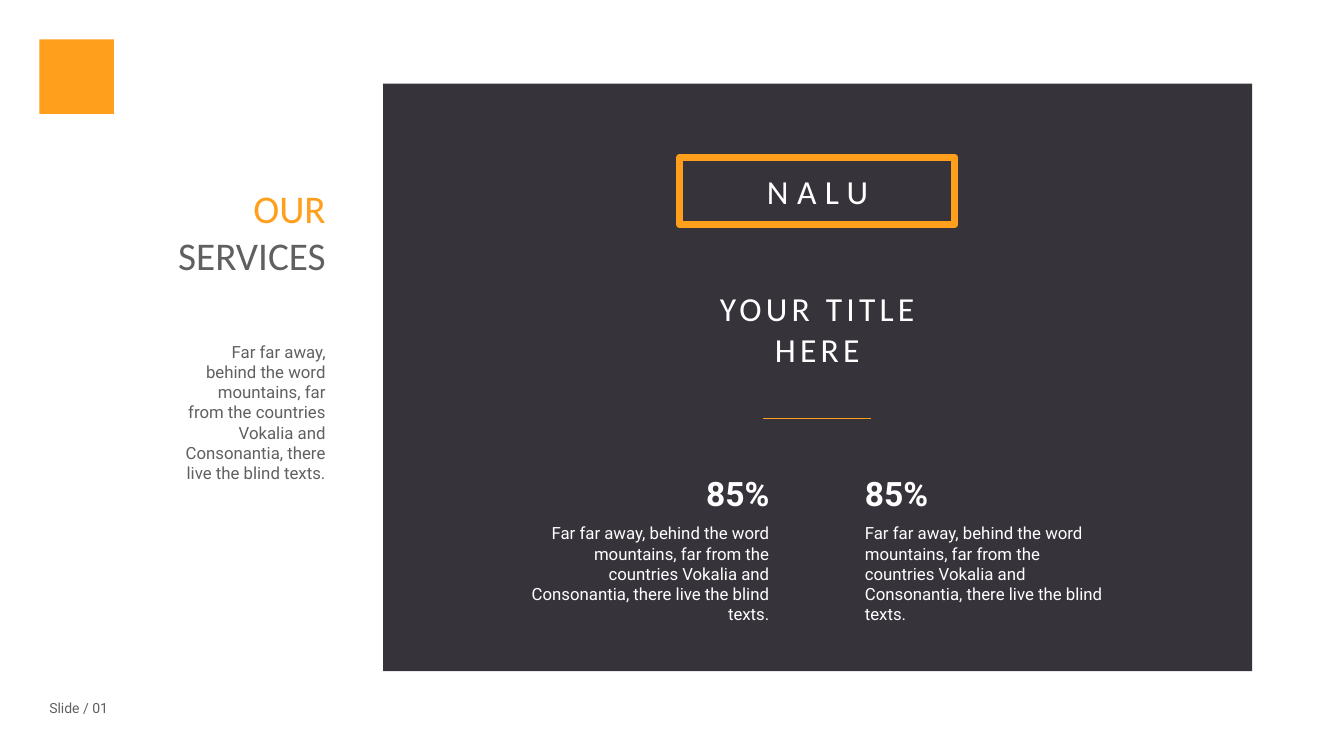
"""Builds the services slide with a dark panel and two figures."""
from dataclasses import dataclass
from lxml import etree
from pptx import Presentation, util as u
from pptx.dml.color import RGBColor
from pptx.enum import shapes, text
from pptx.oxml import ns


@dataclass(frozen=True)
class Theme:
    """Holds the colours, fonts and type sizes."""
    amber: str = "FF9F1B"
    dark: str = "37333B"
    grey: str = "606060"
    white: str = "FFFFFF"
    head: str = "Calibri"
    body: str = "Roboto"
    title: int = 28
    large: int = 24
    small: int = 12
    tiny: int = 10


LEFT, MID, RIGHT = text.PP_ALIGN.LEFT, text.PP_ALIGN.CENTER, text.PP_ALIGN.RIGHT


class Page:
    """Draws styled elements on the current slide."""

    def __init__(self, slide, theme):
        """Keeps the slide and its theme."""
        self.slide = slide
        self.theme = theme

    def place(self, item, box):
        """Moves an item to a box given in inches."""
        item.left, item.top, item.width, item.height = map(u.Inches, box)

    def fill(self, frame, lines, font, size, align=LEFT, bold=False, gap=0, wrap=True):
        """Fills a frame with one run per line of (words, colour)."""
        frame.word_wrap = wrap
        frame.auto_size = text.MSO_AUTO_SIZE.NONE
        frame.vertical_anchor = text.MSO_ANCHOR.TOP
        for i, (words, color) in enumerate(lines):
            para = frame.add_paragraph() if i else frame.paragraphs[0]
            para.alignment = align
            para.space_before = u.Pt(0)
            run = para.add_run()
            run.text = words
            run.font.name, run.font.size, run.font.bold = font, u.Pt(size), bold
            run.font.color.rgb = RGBColor.from_string(color)
            if gap:
                run._r.get_or_add_rPr().set("spc", str(gap * 100))

    def title(self, box, lines):
        """Sets the title placeholder."""
        item = self.slide.shapes.title
        self.place(item, box)
        self.fill(item.text_frame, lines, self.theme.head, self.theme.title, RIGHT)

    def body(self, box, words):
        """Sets the body placeholder without bullets."""
        item = self.slide.placeholders[1]
        self.place(item, box)
        self.fill(item.text_frame, [(words, self.theme.grey)],
                  self.theme.body, self.theme.small, RIGHT)
        for para in item.text_frame.paragraphs:
            props = para._p.get_or_add_pPr()
            props.set("marL", "0")
            props.set("indent", "0")
            etree.SubElement(props, ns.qn("a:buNone"))

    def label(self, box, lines, font, size, **style):
        """Adds a text box."""
        item = self.slide.shapes.add_textbox(*map(u.Inches, box))
        self.fill(item.text_frame, lines, font, size, **style)

    def block(self, box, fill=None, line=None, width=0):
        """Adds a rectangle, filled or outlined."""
        item = self.slide.shapes.add_shape(
            shapes.MSO_SHAPE.RECTANGLE, *map(u.Inches, box))
        item.shadow.inherit = False
        if fill:
            item.fill.solid()
            item.fill.fore_color.rgb = RGBColor.from_string(fill)
        else:
            item.fill.background()
        if line:
            item.line.color.rgb = RGBColor.from_string(line)
            item.line.width = u.Pt(width)
        else:
            item.line.fill.background()

    def rule(self, ends, color, width):
        """Adds a straight line."""
        item = self.slide.shapes.add_connector(
            shapes.MSO_CONNECTOR.STRAIGHT, *map(u.Inches, ends))
        item.line.color.rgb = RGBColor.from_string(color)
        item.line.width = u.Pt(width)
        etree.SubElement(item._element.spPr, ns.qn("a:effectLst"))

    def figure(self, left, right, align):
        """Adds a percentage above its blurb, flush to one side."""
        t = self.theme
        wide = 0.84
        start = right - wide if align == RIGHT else left
        self.label((start, 4.64, wide, 0.5), [("85%", t.white)], t.body, t.large,
                   align=align, bold=True, wrap=False)
        self.label((left, 5.14, right - left, 0.91), [(BLURB, t.white)],
                   t.body, t.small, align=align)


BLURB = ("Far far away, behind the word mountains, far from the countries "
         "Vokalia and Consonantia, there live the blind texts.")

deck = Presentation()
deck.slide_width, deck.slide_height = u.Inches(13.33), u.Inches(7.5)
t = Theme()
page = Page(deck.slides.add_slide(deck.slide_layouts[1]), t)

page.block((0.39, 0.39, 0.74, 0.74), fill=t.amber)
page.label((0.39, 6.89, 0.79, 0.27), [("Slide / 01", t.grey)], t.body, t.tiny)
page.title((1.2, 1.78, 2.13, 1.04), [("OUR", t.amber), ("SERVICES", t.grey)])
page.body((1.72, 3.34, 1.61, 1.51), BLURB)

page.block((3.8, 0.83, 8.62, 5.83), fill=t.dark)
page.block((6.74, 1.56, 2.73, 0.67), line=t.amber, width=5)
page.label((7.36, 1.65, 1.5, 0.5), [("NALU", t.white)], t.head, t.large,
           align=MID, gap=6)
page.label((6.81, 2.81, 2.59, 0.91), [("YOUR TITLE", t.white), ("HERE", t.white)],
           t.head, t.large, align=MID, gap=3)
page.rule((7.57, 4.15, 8.64, 4.15), t.amber, 0.5)
for left, right, align in ((5.1, 7.73, RIGHT), (8.48, 11.11, LEFT)):
    page.figure(left, right, align)

deck.save("out.pptx")
